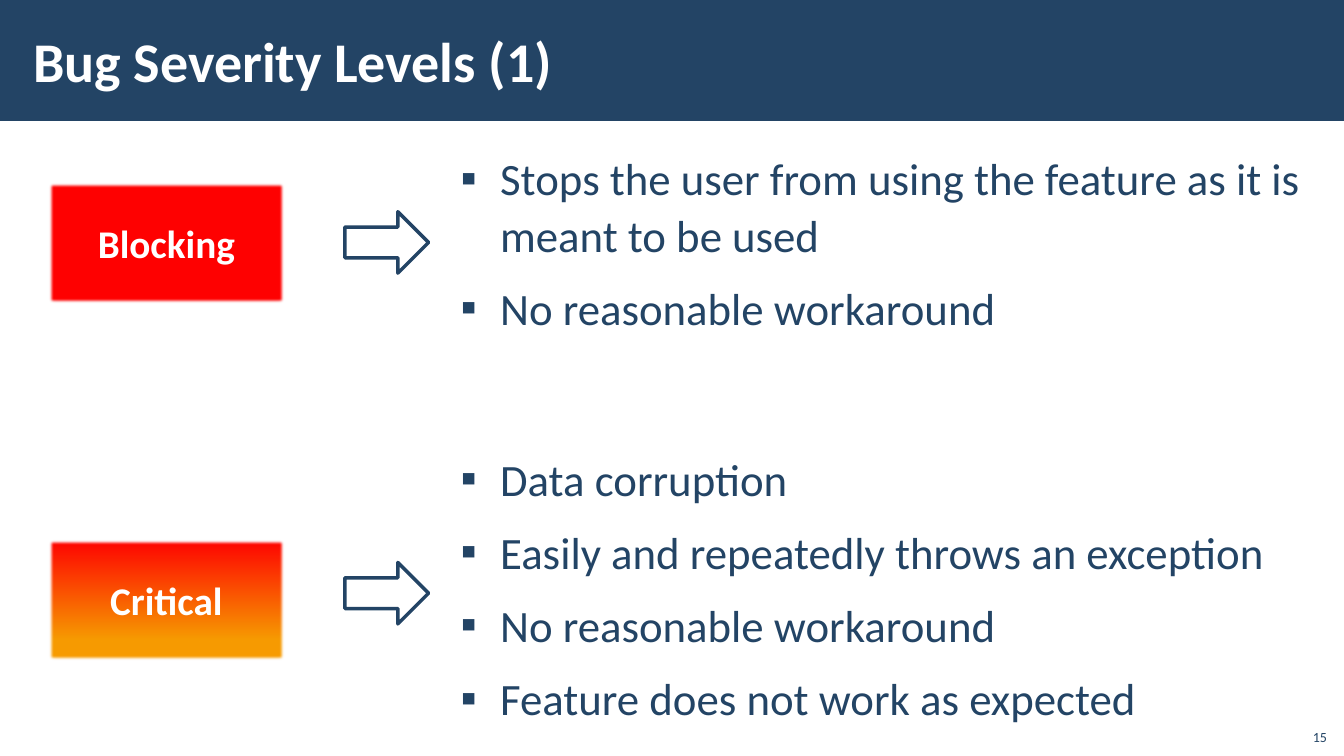
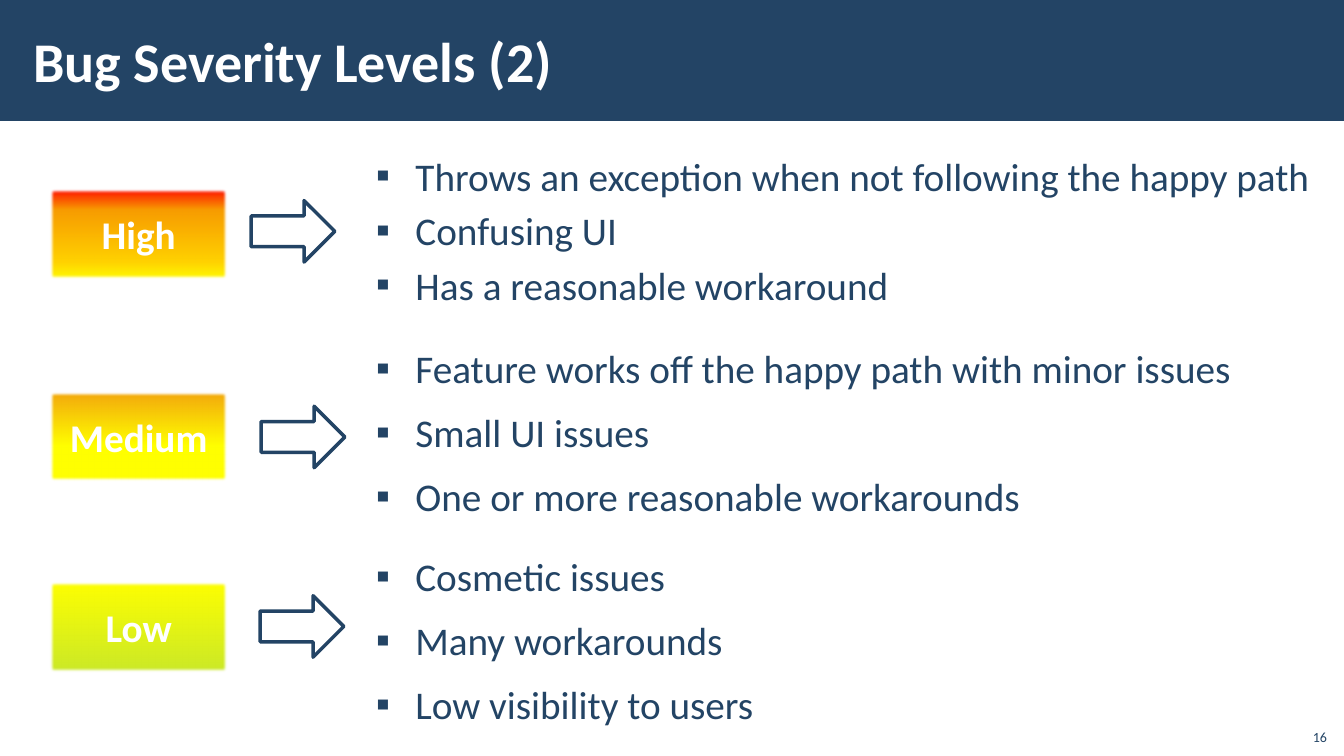
from dataclasses import dataclass

from lxml import etree
from pptx import Presentation
from pptx import util as u
from pptx.dml import color
from pptx.enum import shapes, text
from pptx.oxml import ns


# Theme: colours, type sizes and formats
@dataclass(frozen=True)
class Theme:
    font: str = "Calibri"
    navy: str = "234465"
    white: str = "FFFFFF"
    title_size: int = 40
    badge_size: int = 28
    number_size: int = 10
    arrow_line: float = 2.5
    soft_edge: float = 2.5
    bullet: str = "▪"
    indent: float = 0.88
    hanging: float = 0.39


THEME = Theme()
WIDTH, HEIGHT = u.Inches(13.33), u.Inches(7.5)
INSETS = {"margin_left": u.Inches(0.12), "margin_right": u.Inches(0.12),
          "margin_top": u.Inches(0.04), "margin_bottom": u.Inches(0.04)}
MIDDLE = {"vertical_anchor": text.MSO_ANCHOR.MIDDLE}
BOTTOM = {"vertical_anchor": text.MSO_ANCHOR.BOTTOM}

# Boxes are left, top, width, height in percent of the slide
BAND = (0, 0, 100, 16)
TITLE = (1.58, 1.47, 79.74, 12.93)
NUMBER = (96.47, 94.93, 3, 4.27)
ARROW_SIZE = (6.23, 8.13)


@dataclass(frozen=True)
class Columns:
    """Column places and type size shared by the levels on one slide."""
    badge_left: float
    badge_size: tuple
    list_left: float
    list_size: int


@dataclass(frozen=True)
class Level:
    """One severity level: coloured badge, arrow and bulleted list."""
    name: str
    stops: tuple          # (position in percent, colour)
    badge_top: float
    arrow_at: tuple
    list_top: float
    list_extent: tuple
    points: tuple
    spacing: float = 1.0


SLIDES = (
    ("Bug Severity Levels (1)", 15, Columns(3.53, (17.7, 16.27), 29.71, 32), (
        Level("Blocking", ((0, "FF0000"),), 24, (25.66, 28), 19.07, (68.79, 28.4),
              ("Stops the user from using the feature as it is meant to be used",
               "No reasonable workaround"), 1.05),
        Level("Critical", ((0, "FF0000"), (82, "F79B00"), (100, "F89C00")),
              71.2, (25.66, 74.4), 58.8, (68.79, 39.07),
              ("Data corruption",
               "Easily and repeatedly throws an exception",
               "No reasonable workaround",
               "Feature does not work as expected"), 1.05),
    )),
    ("Bug Severity Levels (2)", 16, Columns(3.6, (13.43, 12.27), 23.41, 28), (
        Level("High", ((0, "FF0000"), (24, "F79B00"), (80, "FFD200"), (100, "FFFF00")),
              24.8, (18.68, 26.53), 20.8, (75.17, 21.33),
              ("Throws an exception when not following the happy path",
               "Confusing UI",
               "Has a reasonable workaround"), 0.8),
        Level("Medium", ((0, "F2A40D"), (60, "FFFF00")),
              51.6, (19.43, 53.73), 45.07, (72.99, 23.07),
              ("Feature works off the happy path with minor issues",
               "Small UI issues",
               "One or more reasonable workarounds")),
        Level("Low", ((0, "FFFF00"), (100, "C9E828")),
              76.8, (19.35, 78.8), 72.53, (66.24, 25.73),
              ("Cosmetic issues",
               "Many workarounds",
               "Low visibility to users")),
    )),
)


# Helpers
def place(box):
    left, top, width, height = box
    return [int(share * side / 100) for share, side in
            ((left, WIDTH), (top, HEIGHT), (width, WIDTH), (height, HEIGHT))]


def rgb(value):
    return color.RGBColor.from_string(value)


def apply(target, formats):
    for name, value in formats.items():
        setattr(target, name, value)


def add_xml(parent, tag, **attributes):
    return etree.SubElement(parent, ns.qn(tag), attributes)


def write(paragraph, words, size, ink, bold=False, **formats):
    run = paragraph.add_run()
    run.text = words
    apply(run.font, {"name": THEME.font, "size": u.Pt(size), "bold": bold})
    run.font.color.rgb = rgb(ink)
    apply(paragraph, formats)


def add_text_box(slide, box, **formats):
    frame = slide.shapes.add_textbox(*place(box)).text_frame
    apply(frame, {"word_wrap": True, **formats})
    return frame


def add_plain_shape(slide, preset, box):
    shape = slide.shapes.add_shape(preset, *place(box))
    shape.shadow.inherit = False
    shape.line.fill.background()
    return shape


def paint(shape, stops):
    """Fill with one colour, or with a gradient from top to bottom."""
    fill = shape.fill
    if len(stops) == 1:
        fill.solid()
        fill.fore_color.rgb = rgb(stops[0][1])
        return
    fill.gradient()
    fill.gradient_angle = 270
    stop_list = shape._element.spPr.find(".//" + ns.qn("a:gsLst"))
    for old_stop in list(stop_list):
        stop_list.remove(old_stop)
    for position, value in stops:
        stop = add_xml(stop_list, "a:gs", pos=str(position * 1000))
        add_xml(stop, "a:srgbClr", val=value)


# Slide parts
def add_frame(slide, title, number):
    band = add_plain_shape(slide, shapes.MSO_SHAPE.RECTANGLE, BAND)
    paint(band, ((0, THEME.navy),))
    heading = add_text_box(slide, TITLE, **INSETS, **MIDDLE)
    write(heading.paragraphs[0], title, THEME.title_size, THEME.white, bold=True)
    footer = add_text_box(slide, NUMBER, **BOTTOM)
    write(footer.paragraphs[0], str(number), THEME.number_size, THEME.navy,
          alignment=text.PP_ALIGN.RIGHT)


def add_badge(slide, box, name, stops):
    badge = add_plain_shape(slide, shapes.MSO_SHAPE.RECTANGLE, box)
    paint(badge, stops)
    effects = badge._element.spPr.find(ns.qn("a:effectLst"))
    add_xml(effects, "a:softEdge", rad=str(u.Pt(THEME.soft_edge)))
    apply(badge.text_frame, MIDDLE)
    write(badge.text_frame.paragraphs[0], name, THEME.badge_size, THEME.white,
          bold=True, alignment=text.PP_ALIGN.CENTER)


def add_arrow(slide, box):
    arrow = add_plain_shape(slide, shapes.MSO_SHAPE.RIGHT_ARROW, box)
    arrow.fill.background()
    arrow.line.color.rgb = rgb(THEME.navy)
    arrow.line.width = u.Pt(THEME.arrow_line)
    add_xml(arrow.line._get_or_add_ln(), "a:round")


def add_bullets(slide, box, points, size, spacing):
    frame = add_text_box(slide, box, **INSETS)
    for index, point in enumerate(points):
        paragraph = frame.add_paragraph() if index else frame.paragraphs[0]
        write(paragraph, point, size, THEME.navy, level=1, line_spacing=spacing,
              space_before=u.Pt(6), space_after=u.Pt(6))
        properties = paragraph._p.get_or_add_pPr()
        properties.set("marL", str(u.Inches(THEME.indent)))
        properties.set("indent", str(-u.Inches(THEME.hanging)))
        add_xml(properties, "a:buFont", typeface=THEME.font)
        add_xml(properties, "a:buChar", char=THEME.bullet)


def add_level(slide, columns, level):
    add_bullets(slide, (columns.list_left, level.list_top, *level.list_extent),
                level.points, columns.list_size, level.spacing)
    add_badge(slide, (columns.badge_left, level.badge_top, *columns.badge_size),
              level.name, level.stops)
    add_arrow(slide, (*level.arrow_at, *ARROW_SIZE))


def main():
    deck = Presentation()
    apply(deck, {"slide_width": WIDTH, "slide_height": HEIGHT})
    for title, number, columns, levels in SLIDES:
        slide = deck.slides.add_slide(deck.slide_layouts[6])
        add_frame(slide, title, number)
        for level in levels:
            add_level(slide, columns, level)
    deck.save("out.pptx")


if __name__ == "__main__":
    main()
